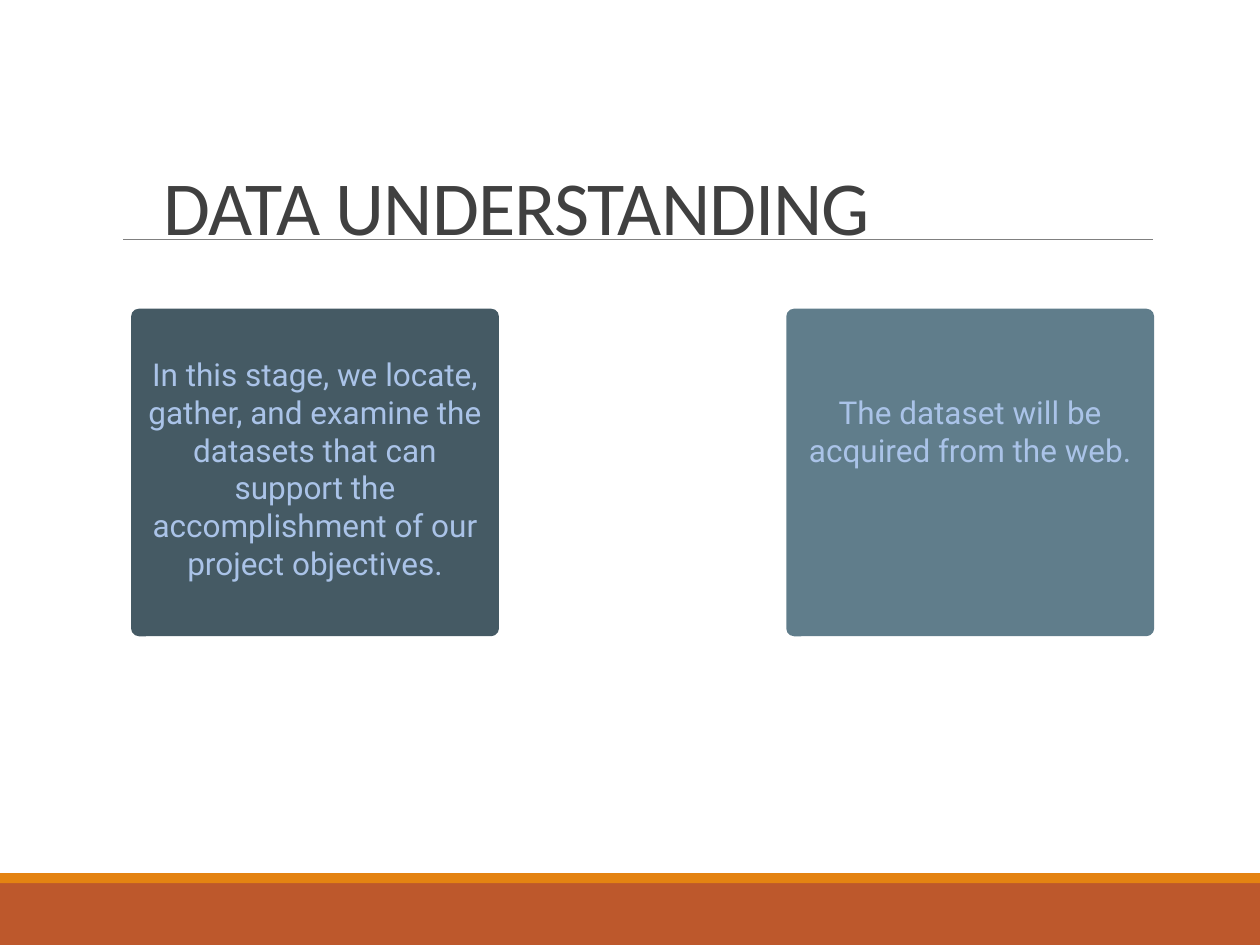
from lxml import etree
from pptx import Presentation
from pptx.dml.color import RGBColor
from pptx.enum.shapes import MSO_CONNECTOR, MSO_SHAPE
from pptx.enum.text import MSO_ANCHOR, PP_ALIGN
from pptx.oxml.ns import qn
from pptx.util import Inches, Pt

RECT, ROUNDED = MSO_SHAPE.RECTANGLE, MSO_SHAPE.ROUNDED_RECTANGLE
STRAIGHT = MSO_CONNECTOR.STRAIGHT
TOP, BOTTOM = MSO_ANCHOR.TOP, MSO_ANCHOR.BOTTOM
LEFT, CENTER = PP_ALIGN.LEFT, PP_ALIGN.CENTER

TITLE = "DATA UNDERSTANDING"
# text, left, fill, blank lines above the text
CARDS = [
    ("In this stage, we locate, gather, and examine the datasets that can "
     "support the accomplishment of our project objectives.", 1.04, "455A64", 1),
    ("The dataset will be acquired from the web.", 6.24, "607D8B", 2),
]
# top, height, fill
FOOTER_BANDS = [(7, 0.5, "BD582C"), (6.93, 0.08, "E48312")]

SLIDE_WIDTH, SLIDE_HEIGHT = 10, 7.5
CARD_TOP, CARD_WIDTH, CARD_HEIGHT = 2.45, 2.92, 2.6
CARD_INSET, LINE_HEIGHT = 0.05, 0.3
RULE_LEFT, RULE_RIGHT, RULE_TOP = 0.98, 9.15, 1.9


def color(hex_code):
    return RGBColor.from_string(hex_code)


def add_block(slide, kind, left, top, width, height, fill):
    block = slide.shapes.add_shape(
        kind, Inches(left), Inches(top), Inches(width), Inches(height))
    block.shadow.inherit = False
    block.fill.solid()
    block.fill.fore_color.rgb = color(fill)
    block.line.fill.background()
    return block


def set_text(frame, text, font_name, size, hex_code, alignment, anchor):
    frame.text = text
    frame.word_wrap = True
    frame.vertical_anchor = anchor
    paragraph = frame.paragraphs[0]
    paragraph.alignment = alignment
    paragraph.font.name = font_name
    paragraph.font.size = Pt(size)
    paragraph.font.color.rgb = color(hex_code)
    return paragraph


def add_title(slide):
    title = slide.shapes.title
    title.left, title.top = Inches(1.2), Inches(0.91)
    title.width, title.height = Inches(8.17), Inches(1.13)
    heading = set_text(title.text_frame, TITLE, "Calibri", 43.6, "404040", LEFT, BOTTOM)
    heading.line_spacing = 0.85
    heading.runs[0]._r.get_or_add_rPr().set("spc", "-50")


def add_rule(slide):
    rule = slide.shapes.add_connector(
        STRAIGHT, Inches(RULE_LEFT), Inches(RULE_TOP), Inches(RULE_RIGHT), Inches(RULE_TOP))
    rule.line.color.rgb = color("808080")
    rule.line.width = Pt(0.5)
    etree.SubElement(rule._element.spPr, qn("a:effectLst"))


def add_card(slide, text, left, fill, blank_lines):
    card = add_block(slide, ROUNDED, left, CARD_TOP, CARD_WIDTH, CARD_HEIGHT, fill)
    card.adjustments[0] = 0.024
    frame = card.text_frame
    frame.margin_left = frame.margin_right = frame.margin_bottom = Inches(CARD_INSET)
    frame.margin_top = Inches(CARD_INSET + blank_lines * LINE_HEIGHT)
    set_text(frame, text, "Roboto", 18, "AAC3E8", CENTER, TOP)


def main():
    deck = Presentation()
    deck.slide_width, deck.slide_height = Inches(SLIDE_WIDTH), Inches(SLIDE_HEIGHT)
    slide = deck.slides.add_slide(deck.slide_layouts.get_by_name("Title Only"))
    for top, height, fill in FOOTER_BANDS:
        add_block(slide, RECT, 0, top, SLIDE_WIDTH, height, fill)
    add_rule(slide)
    add_title(slide)
    for card in CARDS:
        add_card(slide, *card)
    deck.save("out.pptx")


if __name__ == "__main__":
    main()
